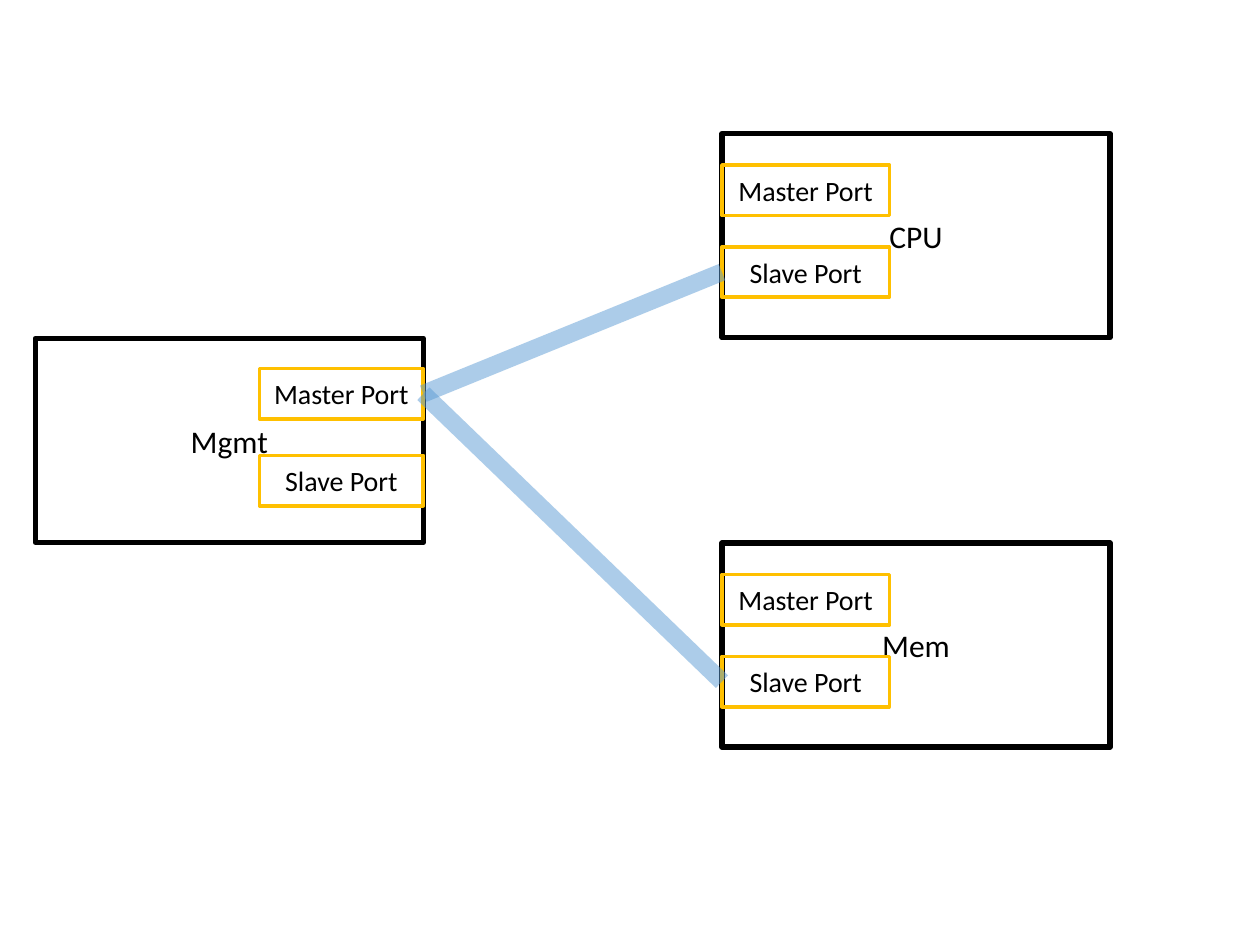
"""Draw the port connections between the management, CPU and memory modules."""
from dataclasses import dataclass

from lxml import etree
from pptx import Presentation
from pptx.dml.color import RGBColor
from pptx.enum.shapes import MSO_CONNECTOR, MSO_SHAPE
from pptx.enum.text import MSO_ANCHOR, PP_ALIGN
from pptx.oxml.ns import qn
from pptx.util import Inches, Pt

RECTANGLE = MSO_SHAPE.RECTANGLE
STRAIGHT = MSO_CONNECTOR.STRAIGHT
MIDDLE = MSO_ANCHOR.MIDDLE
CENTER = PP_ALIGN.CENTER


@dataclass(frozen=True)
class Theme:
    font: str = "Calibri"
    ink: str = "000000"
    port_line: str = "FFC000"
    link_line: str = "5B9BD5"
    module_size: int = 18
    port_size: int = 16
    module_weight: int = 3
    port_weight: int = 2
    link_weight: int = 10
    link_opacity: int = 50


@dataclass(frozen=True)
class Grid:
    left: float = 0.28
    top: float = 1.06
    column: float = 5.45
    row: float = 1.625
    module_width: float = 3.08
    module_height: float = 1.62
    port_height: float = 0.4


@dataclass(frozen=True)
class Box:
    label: str
    left: float
    top: float
    width: float
    height: float


@dataclass(frozen=True)
class Module:
    label: str
    column: int
    row: int
    port_left: float
    port_width: float
    master_top: float
    slave_top: float


THEME = Theme()
GRID = Grid()
MODULES = (
    Module("Mgmt", 0, 1, 1.78, 1.3, 0.24, 0.93),
    Module("CPU", 1, 0, 0, 1.33, 0.25, 0.9),
    Module("Mem", 1, 2, 0, 1.33, 0.25, 0.9),
)


def module_box(module: Module) -> Box:
    """Place a module on the grid."""
    return Box(module.label, GRID.left + module.column * GRID.column,
               GRID.top + module.row * GRID.row, GRID.module_width, GRID.module_height)


def port_boxes(module: Module) -> tuple[Box, Box]:
    """Place the master and slave ports inside a module."""
    frame = module_box(module)
    master, slave = (
        Box(label, frame.left + module.port_left, frame.top + offset,
            module.port_width, GRID.port_height)
        for label, offset in (("Master Port", module.master_top),
                              ("Slave Port", module.slave_top)))
    return master, slave


def draw_box(page, box: Box, color: str, weight: int, size: int) -> None:
    """Draw an outlined rectangle with a centred label."""
    shape = page.shapes.add_shape(RECTANGLE, Inches(box.left), Inches(box.top),
                                  Inches(box.width), Inches(box.height))
    shape.shadow.inherit = False
    shape.fill.background()
    shape.line.color.rgb = RGBColor.from_string(color)
    shape.line.width = Pt(weight)
    frame = shape.text_frame
    frame.word_wrap = True
    frame.vertical_anchor = MIDDLE
    frame.text = box.label
    para = frame.paragraphs[0]
    para.alignment = CENTER
    font = para.runs[0].font
    font.name = THEME.font
    font.size = Pt(size)
    font.color.rgb = RGBColor.from_string(THEME.ink)


def draw_link(page, source: Box, target: Box) -> None:
    """Join the right edge of one port to the left edge of another."""
    link = page.shapes.add_connector(
        STRAIGHT, Inches(source.left + source.width), Inches(source.top + source.height / 2),
        Inches(target.left), Inches(target.top + target.height / 2))
    link.line.color.rgb = RGBColor.from_string(THEME.link_line)
    link.line.width = Pt(THEME.link_weight)
    properties = link._element.spPr
    color = properties.find(".//" + qn("a:srgbClr"))
    etree.SubElement(color, qn("a:alpha")).set("val", str(THEME.link_opacity * 1000))
    etree.SubElement(properties, qn("a:effectLst"))


def main() -> None:
    """Build and save the deck."""
    deck = Presentation()
    deck.slide_width, deck.slide_height = Inches(10), Inches(7.5)
    page = deck.slides.add_slide(deck.slide_layouts[6])
    for module in MODULES:
        draw_box(page, module_box(module), THEME.ink, THEME.module_weight, THEME.module_size)
    for module in MODULES:
        for port in port_boxes(module):
            draw_box(page, port, THEME.port_line, THEME.port_weight, THEME.port_size)
    manager, *clients = MODULES
    for client in clients:
        draw_link(page, port_boxes(manager)[0], port_boxes(client)[1])
    deck.save("out.pptx")


main()
